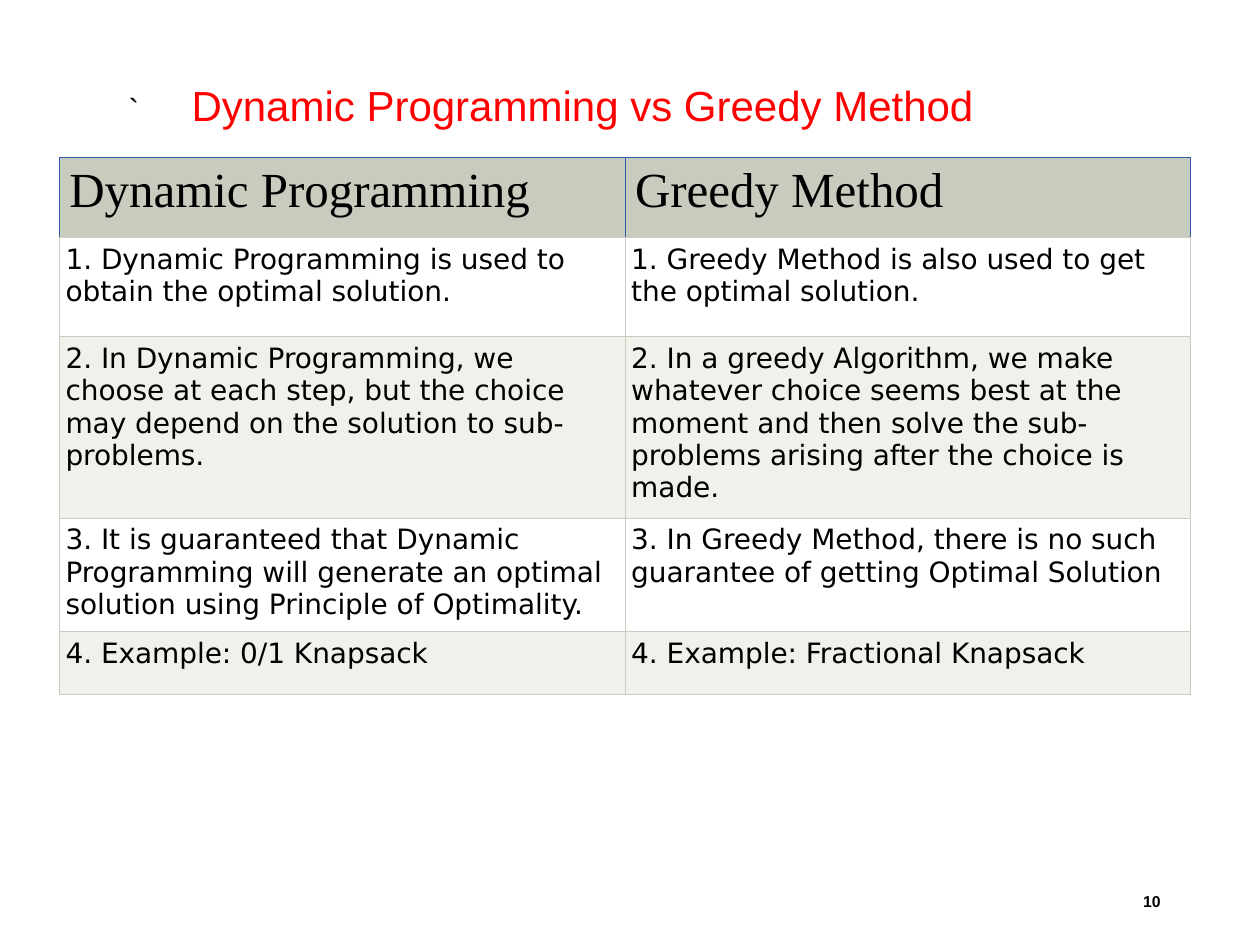
from lxml.etree import SubElement
from pptx import Presentation
from pptx.dml.color import RGBColor
from pptx.enum.text import MSO_ANCHOR as Anchor, MSO_AUTO_SIZE as AutoSize, PP_ALIGN as Align
from pptx.oxml.ns import qn
from pptx.util import Inches, Pt

COLORS = {
    "text": "000000",
    "title": "FF0000",
    "header": "C7CCBE",
    "header_edge": "3059AB",
    "grid": "C7CCBE",
    "odd": "FFFFFF",
    "even": "EFF1EB",
}
TITLE_ONLY = 5
COLUMN_WIDTH = 4.49
ROW_HEIGHTS = [0.63, 0.79, 1.44, 0.9, 0.5]
COMPARISON = [
    ("Dynamic Programming", "Greedy Method"),
    ("1. Dynamic Programming is used to obtain the optimal solution.",
     "1. Greedy Method is also used to get the optimal solution."),
    ("2. In Dynamic Programming, we choose at each step, but the choice may "
     "depend on the solution to sub-problems.",
     "2. In a greedy Algorithm, we make whatever choice seems best at the moment "
     "and then solve the sub-problems arising after the choice is made."),
    ("3. It is guaranteed that Dynamic Programming will generate an optimal "
     "solution using Principle of Optimality.",
     "3. In Greedy Method, there is no such guarantee of getting Optimal Solution"),
    ("4. Example: 0/1 Knapsack", "4. Example: Fractional Knapsack"),
]


def add_span(para, text, size, font="Arial", color="text", bold=False):
    span = para.add_run()
    span.text = text
    span.font.size = Pt(size)
    span.font.name = font
    span.font.bold = bold
    span.font.color.rgb = RGBColor.from_string(COLORS[color])


def add_title(page):
    title = page.shapes.title
    title.left, title.top = Inches(0.92), Inches(0.58)
    title.width, title.height = Inches(7.92), Inches(0.5)
    frame = title.text_frame
    frame.vertical_anchor = Anchor.TOP
    frame.auto_size = AutoSize.SHAPE_TO_FIT_TEXT
    para = frame.paragraphs[0]
    para.alignment = Align.LEFT
    add_span(para, "`\t", 18)
    add_span(para, "Dynamic Programming vs Greedy Method", 24, color="title")


def set_borders(cell, **sides):
    """Draw thin cell borders; each side (L, R, T, B) names its colour."""
    properties = cell._tc.get_or_add_tcPr()
    for position, side in enumerate("LRTB"):
        line = properties.makeelement(qn(f"a:ln{side}"), {"w": str(Pt(0.34))})
        fill = SubElement(line, qn("a:solidFill"))
        SubElement(fill, qn("a:srgbClr"), val=COLORS[sides[side]])
        properties.insert(position, line)


def fill_cell(cell, text, fill, inset, edge, **font):
    cell.margin_left = cell.margin_right = Inches(inset)
    cell.margin_top = cell.margin_bottom = Inches(0.05)
    cell.fill.solid()
    cell.fill.fore_color.rgb = RGBColor.from_string(COLORS[fill])
    set_borders(cell, L=edge, R=edge, T=edge, B="grid")
    add_span(cell.text_frame.paragraphs[0], text, **font)


def add_comparison(page):
    table = page.shapes.add_table(
        len(COMPARISON), 2, Inches(0.47), Inches(1.25),
        Inches(2 * COLUMN_WIDTH), Inches(sum(ROW_HEIGHTS))).table
    for column in table.columns:
        column.width = Inches(COLUMN_WIDTH)
    for index, (height, texts) in enumerate(zip(ROW_HEIGHTS, COMPARISON)):
        table.rows[index].height = Inches(height)
        if index == 0:
            style = dict(fill="header", inset=0.08, edge="header_edge",
                         size=28, font="Times New Roman")
        else:
            style = dict(fill="odd" if index % 2 else "even", inset=0.05,
                         edge="grid", size=16, font="DejaVu Sans")
        for cell, text in zip(table.rows[index].cells, texts):
            fill_cell(cell, text, **style)
    for cell in table.rows[1].cells:
        cell.vertical_anchor = Anchor.TOP


def add_page_number(page, number):
    box = page.shapes.add_textbox(Inches(8.73), Inches(6.95), Inches(0.58), Inches(0.4))
    frame = box.text_frame
    frame.word_wrap = True
    frame.vertical_anchor = Anchor.MIDDLE
    para = frame.paragraphs[0]
    para.alignment = Align.RIGHT
    add_span(para, number, 9, bold=True)


def main():
    deck = Presentation()
    deck.slide_width, deck.slide_height = Inches(10), Inches(7.5)
    page = deck.slides.add_slide(deck.slide_layouts[TITLE_ONLY])
    add_page_number(page, "10")
    add_comparison(page)
    add_title(page)
    deck.save("out.pptx")


if __name__ == "__main__":
    main()
